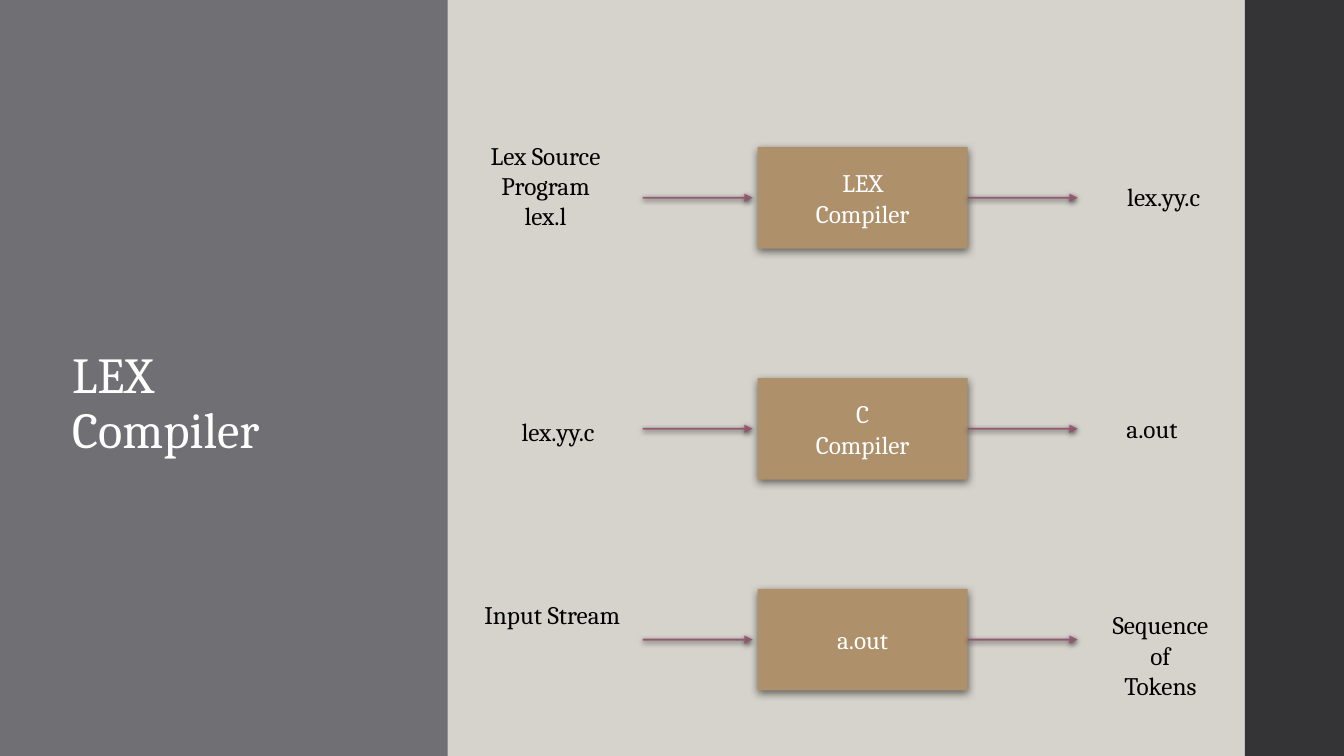
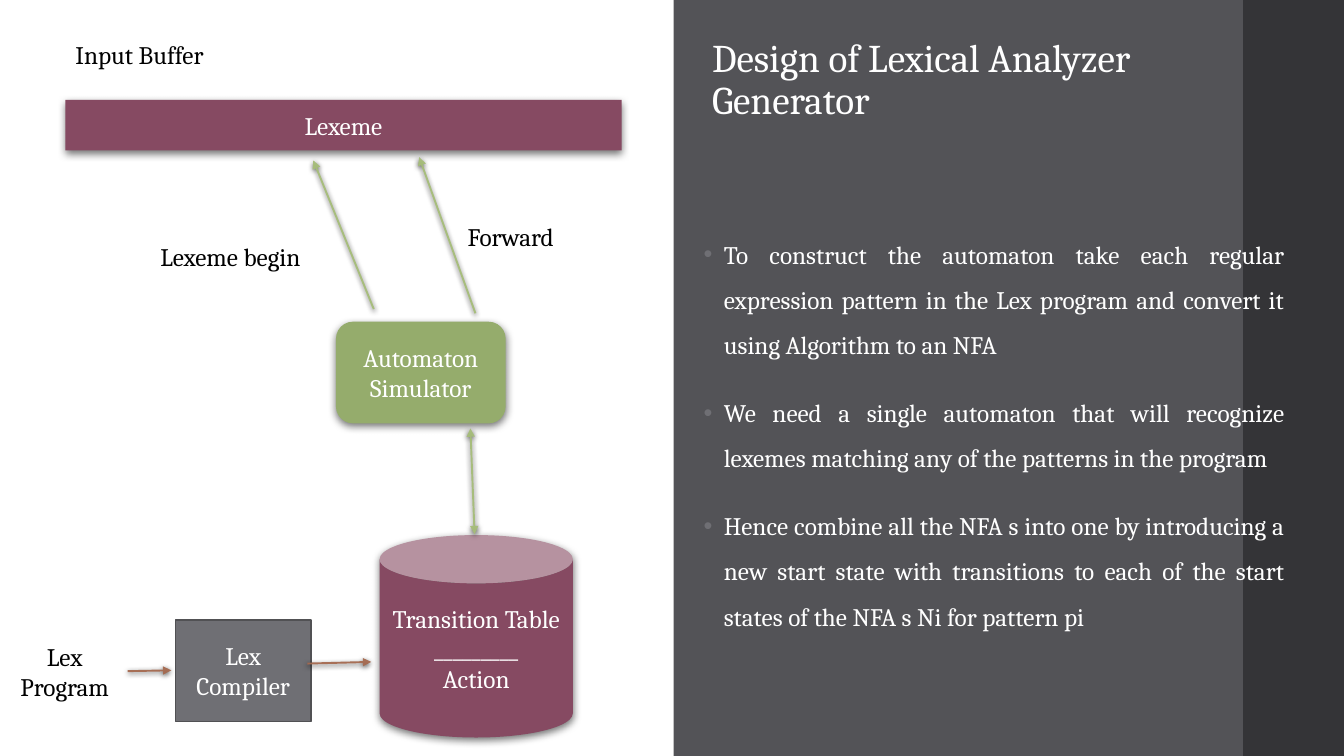
from lxml.etree import SubElement
from pptx import Presentation
from pptx.dml.color import RGBColor
from pptx.enum.shapes import MSO_CONNECTOR, MSO_SHAPE as SHAPE
from pptx.enum.text import MSO_ANCHOR as ANCHOR, PP_ALIGN as ALIGN
from pptx.oxml import parse_xml
from pptx.oxml.ns import nsdecls, qn
from pptx.util import Inches, Pt

# Grid: 160 columns by 90 rows of square cells; every length below is in cells.
COLUMNS, ROWS = 160, 90
CELL = Inches(1) // 12
FONT = "Cambria"
WHITE, BLACK = "FFFFFF", "000000"
SAND, TAN, GREY, SLATE, CHARCOAL = "D6D3CC", "AE906B", "6F6F74", "535357", "343437"
PLUM, GREEN = "864A62", "95AC6C"
PLUM_LINE, GREEN_LINE, RUST_LINE, GREY_LINE = "93556F", "A6BD79", "A56A50", "515154"
TITLE = dict(colour=WHITE, align=ALIGN.LEFT, anchor=ANCHOR.MIDDLE, spacing=0.9)
LABEL = dict(colour=BLACK, anchor=ANCHOR.TOP)
SHADOW = (
    f'<a:effectLst {nsdecls("a")}><a:outerShdw blurRad="%d" dist="%d" dir="5400000" rotWithShape="0">'
    '<a:srgbClr val="000000"><a:alpha val="%d"/></a:srgbClr></a:outerShdw></a:effectLst>'
)
BOX_SHADOW = SHADOW % (Pt(6), Pt(2), 55000)
LINE_SHADOW = SHADOW % (Pt(4), Pt(1.2), 75000)
rgb = RGBColor.from_string


def write(page, area, text="", *, kind=None, fill=None, line=None, shadow=False, size=18,
          colour=WHITE, align=ALIGN.CENTER, anchor=ANCHOR.MIDDLE, spacing=1, bullet=None):
    """Add a text box, or a filled shape if a kind is given; each line is a paragraph."""
    place = [round(CELL * cells) for cells in area]
    if kind is None:
        box = page.shapes.add_textbox(*place)
    else:
        box = page.shapes.add_shape(kind, *place)
        box.fill.solid()
        box.fill.fore_color.rgb = rgb(fill)
        if line:
            box.line.color.rgb = rgb(line)
            box.line.width = Pt(1.1)
        else:
            box.line.fill.background()
        if shadow:
            box._element.spPr.append(parse_xml(BOX_SHADOW))
        else:
            box.shadow.inherit = False
    frame = box.text_frame
    frame.word_wrap = True
    frame.vertical_anchor = anchor
    for number, words in enumerate(text.split("\n")):
        para = frame.add_paragraph() if number else frame.paragraphs[0]
        para.alignment = align
        para.line_spacing = spacing
        if bullet:
            para.space_before = Pt(16 if number else 0)
            settings = para._p.get_or_add_pPr()
            settings.set("marL", str(Inches(0.2)))
            settings.set("indent", str(-Inches(0.2)))
            SubElement(SubElement(settings, qn("a:buClr")), qn("a:srgbClr"), val=bullet)
            SubElement(settings, qn("a:buFont"), typeface="Arial")
            SubElement(settings, qn("a:buChar"), char="•")
        if words:
            span = para.add_run()
            span.text = words
            span.font.name = FONT
            span.font.size = Pt(size)
            span.font.color.rgb = rgb(colour)
    return box


def draw_arrow(page, start, end, colour, *, source=None, double=False):
    """Draw an arrow; a source box ties its start to the middle of the box's right side."""
    ends = [round(CELL * cells) for cells in (*start, *end)]
    arrow = page.shapes.add_connector(MSO_CONNECTOR.STRAIGHT, *ends)
    if source is not None:
        arrow.begin_connect(source, 3)
    arrow.line.color.rgb = rgb(colour)
    arrow.line.width = Pt(1.35)
    outline = arrow._element.spPr.find(qn("a:ln"))
    SubElement(next(outline.iter(qn("a:srgbClr"))), qn("a:alpha"), val="95000")
    for tip in ("headEnd", "tailEnd") if double else ("tailEnd",):
        SubElement(outline, qn(f"a:{tip}"), type="triangle")
    arrow._element.spPr.append(parse_xml(LINE_SHADOW))


deck = Presentation()
deck.slide_width, deck.slide_height = COLUMNS * CELL, ROWS * CELL

# Shared frame: background, one full-height panel and the dark band on the right
pages = []
for background, panel_left, panel_width, panel_fill, band_left in (
    (SAND, 0, 53.3, GREY, 148.2),
    (WHITE, 80.2, 68, SLATE, 148),
):
    page = deck.slides.add_slide(deck.slide_layouts[6])
    page.background.fill.solid()
    page.background.fill.fore_color.rgb = rgb(background)
    write(page, (panel_left, 0, panel_width, ROWS), kind=SHAPE.RECTANGLE, fill=panel_fill)
    write(page, (band_left, 0, COLUMNS - band_left, ROWS), kind=SHAPE.RECTANGLE, fill=CHARCOAL)
    pages.append(page)
compiler_page, generator_page = pages

# Slide 1: three steps, each with an input, a box and an output
write(compiler_page, (7.4, 14.2, 35.6, 68), "LEX\nCompiler", size=36, **TITLE)
BOX_LEFT, BOX_WIDTH, BOX_HEIGHT, LABEL_WIDTH = 90.2, 25, 12.1, 19.9
for top, name, source_text, source_spot, result_text, result_spot in (
    (17.5, "LEX\nCompiler", "Lex Source Program\nlex.l", (55, 16.1), "lex.yy.c", (128.6, 21)),
    (45, "C\nCompiler", "lex.yy.c", (56.5, 49), "a.out", (127.2, 48.6)),
    (70.1, "a.out", "Input Stream", (55.8, 70.7), "Sequence\nof\nTokens", (128.2, 72)),
):
    middle = top + BOX_HEIGHT / 2
    step = write(compiler_page, (BOX_LEFT, top, BOX_WIDTH, BOX_HEIGHT), name,
                 kind=SHAPE.RECTANGLE, fill=TAN, shadow=True)
    draw_arrow(compiler_page, (76.5, middle), (89.6, middle), PLUM_LINE)
    draw_arrow(compiler_page, (BOX_LEFT + BOX_WIDTH, middle), (128.3, middle), PLUM_LINE, source=step)
    for text, spot in ((source_text, source_spot), (result_text, result_spot)):
        write(compiler_page, (*spot, LABEL_WIDTH, 1.2 + 3.6 * len(text.split("\n"))), text, **LABEL)

# Slide 2: diagram on the left, explanation on the panel
write(generator_page, (83.6, 2.2, 60.8, 14.8), "Design of Lexical Analyzer Generator", size=28, **TITLE)
for kind, area, text, fill, line in (
    (SHAPE.RECTANGLE, (7.8, 11.9, 66.2, 6), "Lexeme", PLUM, None),
    (SHAPE.ROUNDED_RECTANGLE, (40, 38.3, 20.2, 12.1), "Automaton\nSimulator", GREEN, None),
    (SHAPE.CAN, (45.2, 63.7, 23, 24.1), "Transition Table\n_________\nAction", PLUM, None),
    (SHAPE.RECTANGLE, (20.9, 73.8, 16.1, 12.1), "Lex\nCompiler", GREY, GREY_LINE),
):
    write(generator_page, area, text, kind=kind, fill=fill, line=line, shadow=line is None)
for area, text, align in (
    ((7.8, 4.1, 22.4, 4.8), "Input Buffer", ALIGN.LEFT),
    ((17.9, 28.1, 22.4, 4.8), "Lexeme begin", ALIGN.LEFT),
    ((54.5, 25.8, 16, 4.8), "Forward", ALIGN.LEFT),
    ((0.2, 75.7, 15, 8.5), "Lex\nProgram", ALIGN.CENTER),
):
    write(generator_page, area, text, align=align, **LABEL)
for start, end, colour, double in (
    ((44.5, 36.8), (37.3, 19.1), GREEN_LINE, False),
    ((56.6, 37.3), (49.9, 18.7), GREEN_LINE, False),
    ((56, 51), (56.5, 63.6), GREEN_LINE, True),
    ((15.2, 79.9), (20.4, 79.8), RUST_LINE, False),
    ((36.6, 79), (44.2, 78.8), RUST_LINE, False),
):
    draw_arrow(generator_page, start, end, colour, double=double)
explanation = (
    "To construct the automaton take each regular expression pattern in the Lex program "
    "and convert it using Algorithm to an NFA",
    "We need a single automaton that will recognize lexemes matching any of the patterns in the program",
    "Hence combine all the NFA s into one by introducing a new start state with transitions "
    "to each of the start states of the NFA s Ni for pattern pi",
)
write(generator_page, (82.6, 16, 71.5, 69.8), "\n".join(explanation),
      align=ALIGN.JUSTIFY, spacing=1.5, bullet=GREY)

deck.save("out.pptx")
